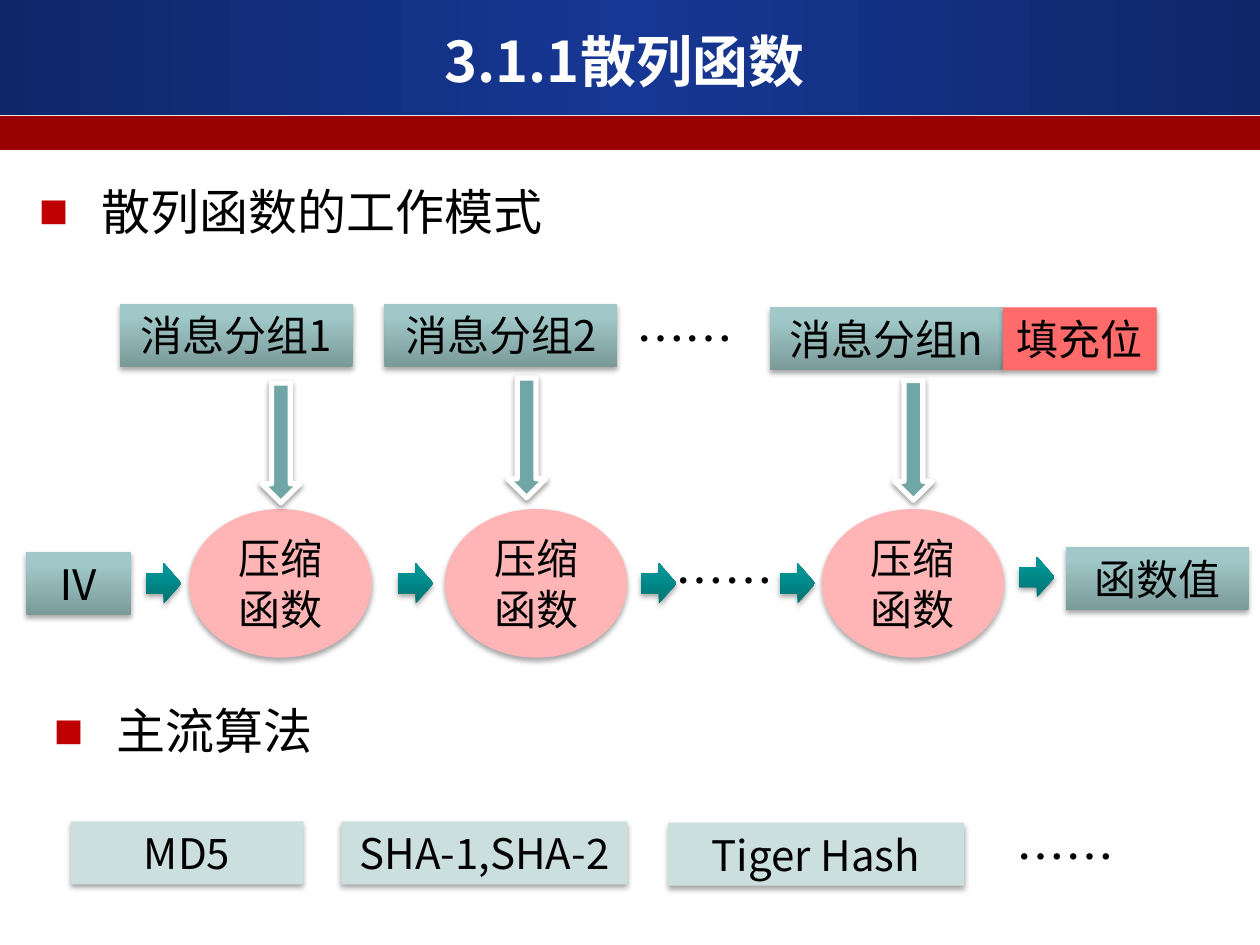
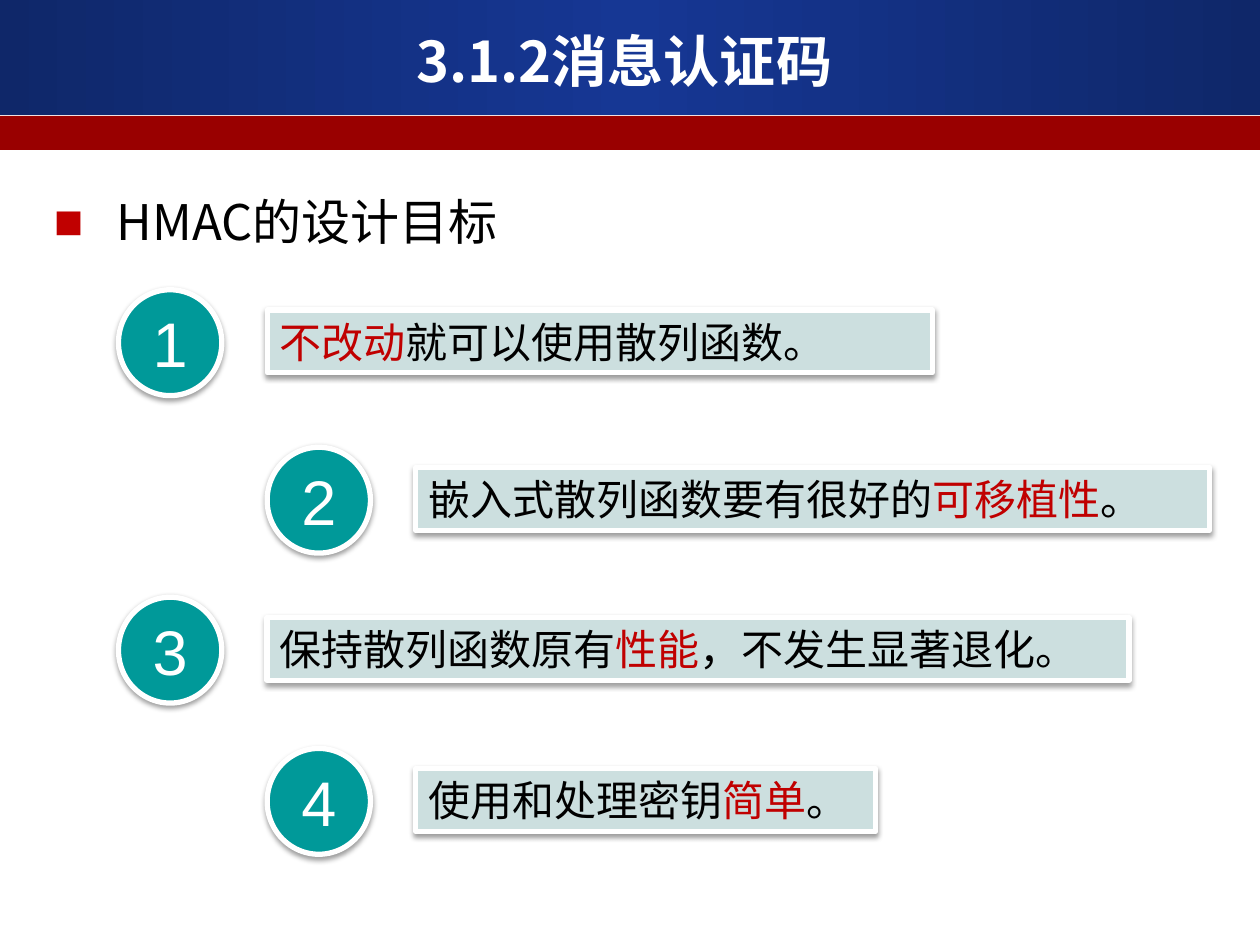
from dataclasses import dataclass

from lxml import etree
from pptx import Presentation
from pptx.dml.color import RGBColor
from pptx.enum.shapes import MSO_SHAPE
from pptx.enum.text import MSO_ANCHOR, PP_ALIGN
from pptx.oxml.ns import qn
from pptx.util import Inches, Pt

RECT, OVAL = MSO_SHAPE.RECTANGLE, MSO_SHAPE.OVAL
DOWN, RIGHT = MSO_SHAPE.DOWN_ARROW, MSO_SHAPE.RIGHT_ARROW
MIDDLE = MSO_ANCHOR.MIDDLE
LEFT, CENTER = PP_ALIGN.LEFT, PP_ALIGN.CENTER
COLS, ROWS = 100, 75


@dataclass(frozen=True)
class Theme:
    """Colours, gradients, fonts and type sizes of the deck."""
    font: str = "Noto Sans CJK SC"
    digit_font: str = "Arial"
    title: int = 32
    bullet: int = 28
    body: int = 24
    digit: int = 36
    white: str = "FFFFFF"
    black: str = "000000"
    accent: str = "C00000"
    band: str = "990000"
    pale: str = "CCDFDF"
    padding: str = "FF6A6A"
    pink: str = "FFB5B5"
    drop: str = "71A6A6"
    teal: str = "009999"
    header: tuple = ((0, "163794", 46275), (50, "163794", None), (100, "163794", 46275))
    steel: tuple = ((0, "7B9A9A", None), (80, "A0C8C8", None), (100, "A0CACA", None))
    arrow: tuple = ((0, "007272", None), (80, "009494", None), (100, "009595", None))


def sub(parent, tag, **attrs):
    """Append a DrawingML child with the given attributes."""
    return etree.SubElement(parent, qn(tag), {k: str(v) for k, v in attrs.items()})


class Deck:
    """Draw themed elements on the current slide, on a 100 by 75 grid."""

    def __init__(self, theme):
        """Start an empty 10 by 7.5 inch presentation."""
        self.t = theme
        self.prs = Presentation()
        self.prs.slide_width, self.prs.slide_height = Inches(10), Inches(7.5)
        self.s = None

    def place(self, x, y, w, h):
        """Turn grid columns and rows into lengths."""
        col, row = self.prs.slide_width / COLS, self.prs.slide_height / ROWS
        return int(x * col), int(y * row), int(w * col), int(h * row)

    def slide(self, title):
        """Add a slide with its bands and title."""
        self.s = self.prs.slides.add_slide(self.prs.slide_layouts[6])
        self.shape(RECT, (0, 0, COLS, 9.1), self.t.header, angle=0, shadow=False)
        self.shape(RECT, (0, 9.2, COLS, 2.7), self.t.band, shadow=False)
        self.text((3.3, 1.7, 92.5, 6.2), title, self.t.title, CENTER, self.t.white, bold=True)

    def gradient(self, sp, stops, angle):
        """Fill a shape with a linear gradient."""
        sp.fill.gradient()
        sp.fill.gradient_angle = angle
        gs_list = sp._element.spPr.find(".//" + qn("a:gsLst"))
        for gs in list(gs_list):
            gs_list.remove(gs)
        for pos, color, shade in stops:
            clr = sub(sub(gs_list, "a:gs", pos=pos * 1000), "a:srgbClr", val=color)
            if shade:
                sub(clr, "a:shade", val=shade)

    def shape(self, kind, at, fill, angle=90, outlined=False, shadow=True):
        """Add a preset shape with its fill, outline and soft shadow."""
        sp = self.s.shapes.add_shape(kind, *self.place(*at))
        if isinstance(fill, str):
            sp.fill.solid()
            sp.fill.fore_color.rgb = RGBColor.from_string(fill)
        else:
            self.gradient(sp, fill, angle)
        if outlined:
            sp.line.color.rgb = RGBColor.from_string(self.t.white)
            sp.line.width = Pt(3)
        else:
            sp.line.fill.background()
        sp.shadow.inherit = False
        if shadow:
            effects = sp._element.spPr.find(qn("a:effectLst"))
            outer = sub(effects, "a:outerShdw", blurRad=Pt(3.1), dist=Pt(1.6 if outlined else 1.8),
                        dir=5400000, rotWithShape=0)
            clr = sub(outer, "a:srgbClr", val=self.t.black)
            sub(clr, "a:alpha", val=38000 if outlined else 35000)
        return sp

    def label(self, sp, text, size, align, color=None, font=None, bold=False, bullet=False):
        """Set one paragraph, with *starred* parts in the accent colour."""
        tf = sp.text_frame
        tf.word_wrap, tf.vertical_anchor = True, MIDDLE
        p = tf.paragraphs[0]
        p.alignment = align
        if bullet:
            pPr = p._p.get_or_add_pPr()
            pPr.set("marL", str(Inches(0.5)))
            pPr.set("indent", str(-Inches(0.5)))
            sub(sub(pPr, "a:buClr"), "a:srgbClr", val=self.t.accent)
            sub(pPr, "a:buFont", typeface=self.t.digit_font)
            sub(pPr, "a:buChar", char="■")
        name = font or self.t.font
        p.font.size, p.font.bold, p.font.name = Pt(size), bold, name
        p.font.color.rgb = RGBColor.from_string(color or self.t.black)
        sub(p._p.pPr.find(qn("a:defRPr")), "a:ea", typeface=name)
        for i, part in enumerate(text.split("*")):
            if part:
                r = p.add_run()
                r.text = part
                if i % 2:
                    r.font.color.rgb = RGBColor.from_string(self.t.accent)
        return p

    def text(self, at, text, size, align=LEFT, color=None, **style):
        """Add a text box."""
        sp = self.s.shapes.add_textbox(*self.place(*at))
        self.label(sp, text, size, align, color, **style)

    def bullet(self, x, y, w, text):
        """Add a heading with a square bullet."""
        self.text((x, y, w, 5.7), text, self.t.bullet, bullet=True)

    def dots(self, x, y):
        """Add an ellipsis."""
        self.text((x, y, 11, 5.7), "……", self.t.bullet)

    def box(self, x, y, w, text, fill, align=CENTER, outlined=False):
        """Add a labelled box."""
        sp = self.shape(RECT, (x, y, w, 5), fill, outlined=outlined)
        self.label(sp, text, self.t.body, align)

    def compressor(self, x):
        """Add a compression function."""
        sp = self.shape(OVAL, (x, 40.4, 14.5, 11.8), self.t.pink)
        self.label(sp, "压缩函数", self.t.body, CENTER).line_spacing = Pt(29)

    def goal(self, x, y, w, number, text):
        """Add a numbered goal."""
        self.box(x + 11.8, y + 1.6, w, text, self.t.pale, LEFT, outlined=True)
        sp = self.shape(OVAL, (x, y, 8.2, 8.4), self.t.teal, outlined=True)
        self.label(sp, str(number), self.t.digit, CENTER, self.t.white, self.t.digit_font)


def hash_slide(d):
    """Build the hash function slide."""
    t = d.t
    d.slide("3.1.1散列函数")
    d.bullet(2.1, 13.9, 94.9, "散列函数的工作模式")
    for x, y, w, text, fill in (
            (9.5, 24.1, 18.5, "消息分组1", t.steel),
            (30.5, 24.1, 18.5, "消息分组2", t.steel),
            (61.1, 24.4, 18.5, "消息分组n", t.steel),
            (79.6, 24.4, 12.2, "填充位", t.padding),
            (2.1, 43.8, 8.3, "Ⅳ", t.steel),
            (84.6, 43.4, 14.5, "函数值", t.steel),
            (5.6, 65.2, 18.5, "MD5", t.pale),
            (27.1, 65.2, 22.7, "SHA-1,SHA-2", t.pale),
            (53, 65.3, 23.5, "Tiger Hash", t.pale)):
        d.box(x, y, w, text, fill)
    for x in (15, 35.3, 65.2):
        d.compressor(x)
    for x, y in ((20.8, 30.4), (40.3, 30), (71, 30.2)):
        d.shape(DOWN, (x, y, 3, 9.5), t.drop, outlined=True)
    for x, y in ((49.5, 24), (52.6, 43.2), (79.7, 65.1)):
        d.dots(x, y)
    for x, y in ((11.6, 44.7), (31.6, 44.7), (50.9, 44.7), (61.9, 44.7), (80.9, 44.2)):
        d.shape(RIGHT, (x, y, 2.8, 3.2), t.arrow)
    d.bullet(3.3, 55.1, 94.9, "主流算法")


def hmac_slide(d):
    """Build the message authentication code slide."""
    d.slide("3.1.2消息认证码")
    d.bullet(3.3, 14.7, 87.4, "HMAC的设计目标")
    goals = ((23, 52.8, "*不改动*就可以使用散列函数。"),
             (35.5, 63, "嵌入式散列函数要有很好的*可移植性*。"),
             (47.4, 68.4, "保持散列函数原有*性能*，不发生显著退化。"),
             (59.4, 36.5, "使用和处理密钥*简单*。"))
    for i, (y, w, text) in enumerate(goals):
        d.goal(9.4 + 11.8 * (i % 2), y, w, i + 1, text)


def main():
    """Build and save the deck."""
    d = Deck(Theme())
    hash_slide(d)
    hmac_slide(d)
    d.prs.save("out.pptx")


if __name__ == "__main__":
    main()
